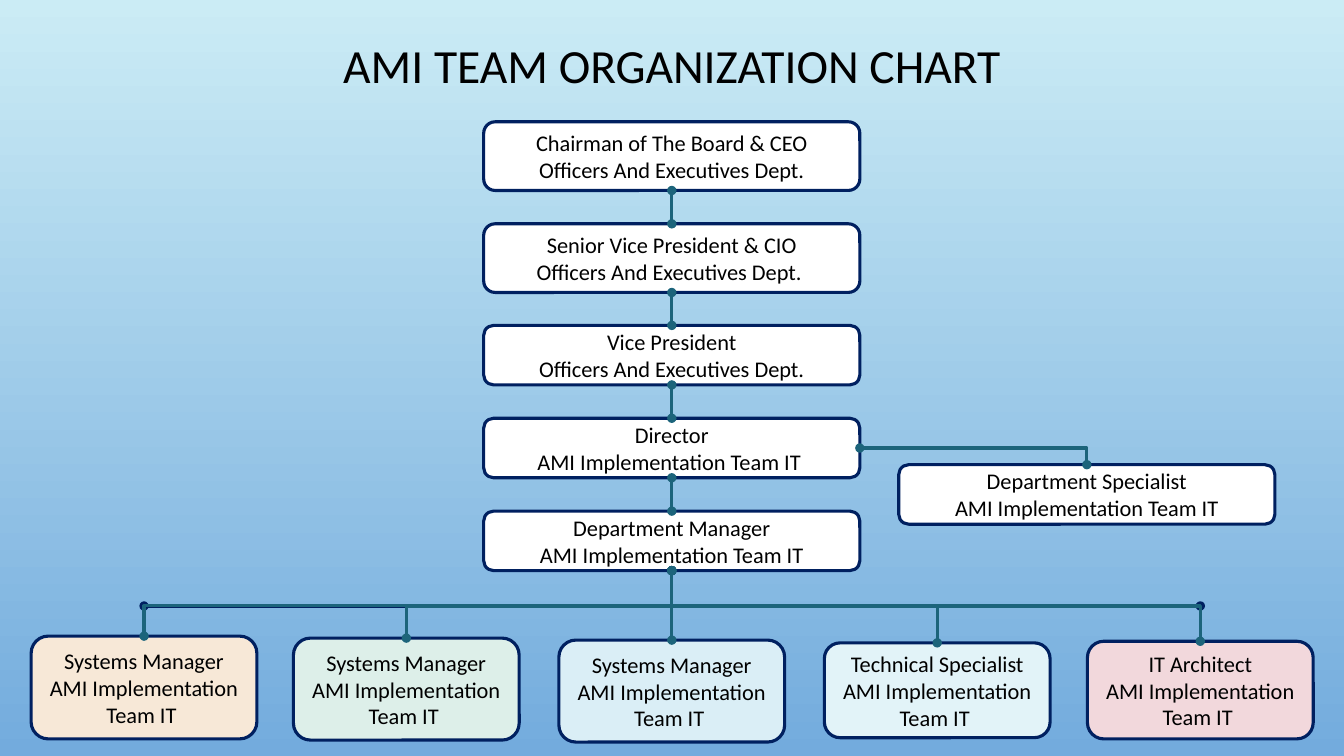
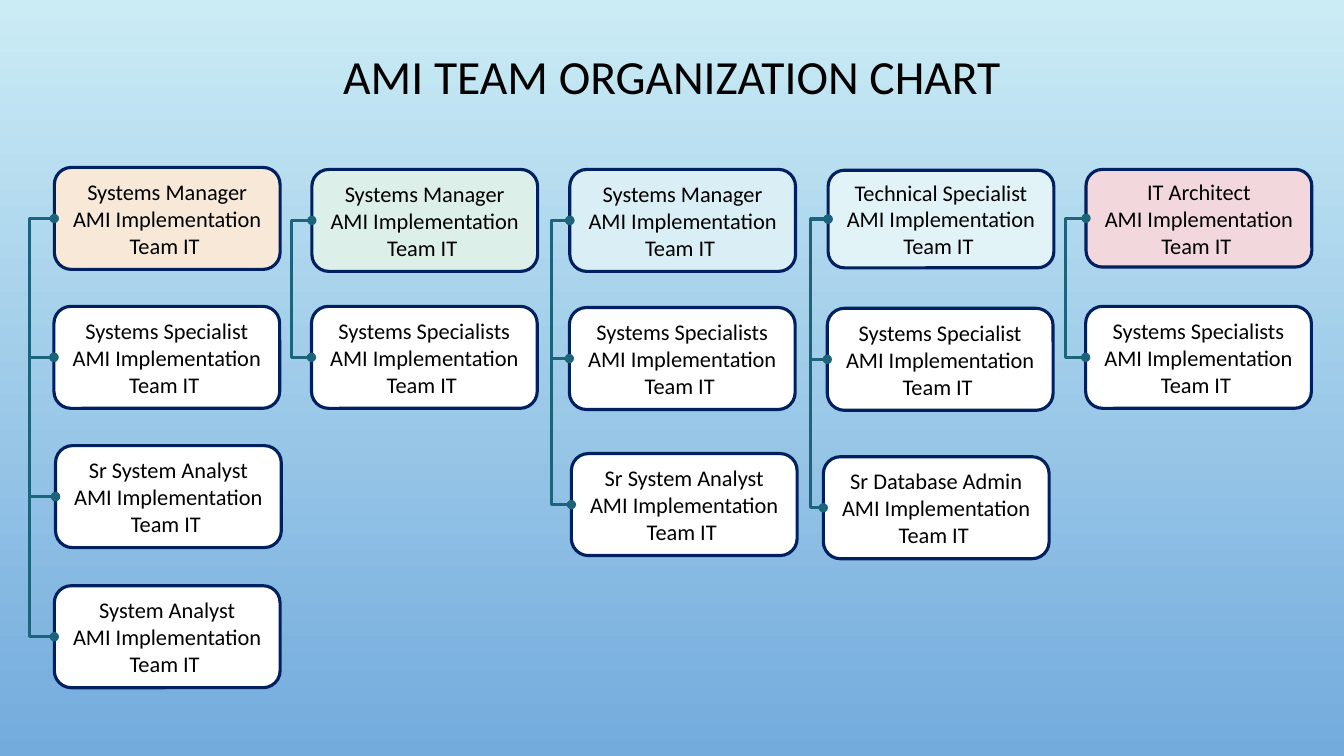
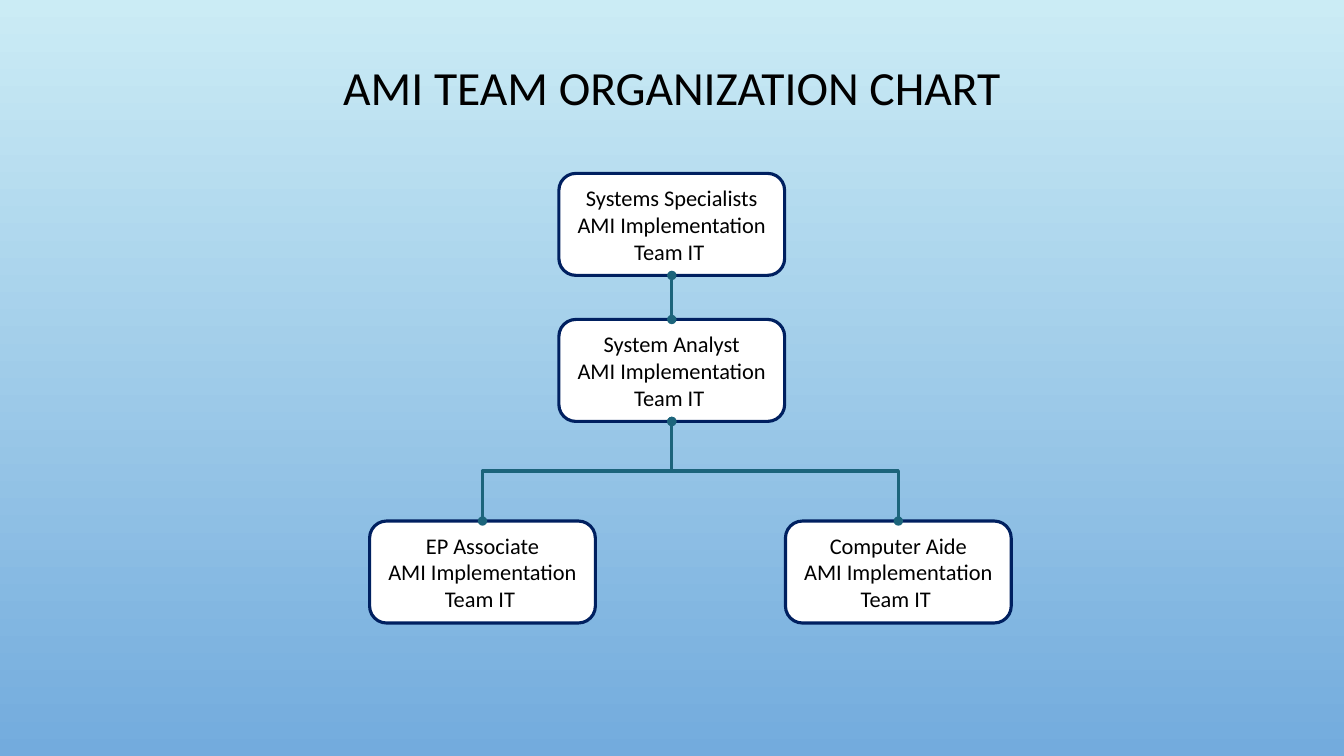
from itertools import pairwise

from pptx import Presentation
from pptx.dml.color import RGBColor
from pptx.enum.shapes import MSO_CONNECTOR, MSO_SHAPE
from pptx.enum.text import MSO_ANCHOR, PP_ALIGN
from pptx.oxml.ns import qn
from pptx.oxml.xmlchemy import OxmlElement
from pptx.util import Cm, Pt

COLORS = {
    "sky": "CBECF5", "blue": "73ABDD", "navy": "002060", "teal": "1C647B",
    "black": "000000", "white": "FFFFFF", "peach": "F7E8D7", "mint": "DDEFE9",
    "ice": "DAEEF6", "aqua": "E2F3F8", "rose": "F2D8DC",
}
FONT = "Calibri"
TITLE = "AMI TEAM ORGANIZATION CHART"
OFFICERS = "Officers And Executives Dept."
TEAM = "AMI Implementation Team IT"
TOP, LEFT, BOTTOM, RIGHT = range(4)

SLIDE_WIDTH, SLIDE_HEIGHT = 33.87, 19.05
CENTER = 16.93
WIDE, NARROW = 9.48, 5.69
LOW, TALL = 1.5, 2.57
STAFF_BUS = 15.27

CHAIN = [
    ("Chairman of The Board & CEO", OFFICERS, 3.07, 1.73),
    ("Senior Vice President & CIO", OFFICERS + " ", 5.64, 1.73),
    ("Vice President", OFFICERS, 8.2, LOW),
    ("Director", TEAM + " ", 10.54, LOW),
    ("Department Manager", TEAM, 12.88, LOW),
]
SPECIALIST = ("Department Specialist", TEAM, 27.39, 11.71)
STAFF = [
    ("Systems Manager", "peach", 3.63, 16.03, 2.59),
    ("Systems Manager", "mint", 10.24, 16.08, TALL),
    ("Systems Manager", "ice", CENTER, 16.13, TALL),
    ("Technical Specialist", "aqua", 23.62, 16.2, 2.39),
    ("IT Architect", "rose", 30.25, 16.16, 2.46),
]

COLUMNS = [
    {"bus": 0.74, "links": [(0, 1), (1, 2), (2, 3)], "boxes": [
        ("Systems Manager", "peach", 1.37, 4.22, TALL),
        ("Systems Specialist", "white", 1.36, 7.72, TALL),
        ("Sr System Analyst", "white", 1.4, 11.23, TALL),
        ("System Analyst", "white", 1.37, 14.76, TALL)]},
    {"bus": 7.34, "links": [(0, 1)], "boxes": [
        ("Systems Manager", "mint", 7.86, 4.27, TALL),
        ("Systems Specialists", "white", 7.85, 7.72, TALL)]},
    {"bus": 13.89, "links": [(0, 1), (0, 2)], "boxes": [
        ("Systems Manager", "ice", 14.36, 4.27, TALL),
        ("Systems Specialists", "white", 14.35, 7.75, TALL),
        ("Sr System Analyst", "white", 14.4, 11.43, TALL)]},
    {"bus": 20.43, "links": [(0, 1), (0, 2)], "boxes": [
        ("Technical Specialist", "aqua", 20.87, 4.29, 2.46),
        ("Systems Specialist", "white", 20.85, 7.77, TALL),
        ("Sr Database Admin", "white", 20.75, 11.51, TALL)]},
    {"bus": 26.85, "links": [(0, 1)], "boxes": [
        ("IT Architect", "rose", 27.37, 4.27, 2.46),
        ("Systems Specialists", "white", 27.36, 7.72, TALL)]},
]

SMALL_CHAIN = [("Systems Specialists", 4.37), ("System Analyst", 8.05)]
ASSISTANTS = [("EP Associate", 12.16), ("Computer Aide", 22.64)]
ASSISTANT_TOP, ASSISTANT_BUS = 13.13, 11.87


def rgb(name):
    return RGBColor.from_string(COLORS[name])


def write(frame, lines, size=16, color="black", spacing=None):
    frame.word_wrap = True
    frame.vertical_anchor = MSO_ANCHOR.MIDDLE
    for index, line in enumerate(lines):
        para = frame.add_paragraph() if index else frame.paragraphs[0]
        para.alignment = PP_ALIGN.CENTER
        if spacing:
            para.line_spacing = spacing
        span = para.add_run()
        span.text = line
        span.font.size = Pt(size)
        span.font.name = FONT
        span.font.color.rgb = rgb(color)


def add_page(deck, title_top, title_height):
    page = deck.slides.add_slide(deck.slide_layouts[5])
    title = page.shapes.title
    title.left, title.top = Cm(2.33), Cm(title_top)
    title.width, title.height = Cm(29.21), Cm(title_height)
    write(title.text_frame, [TITLE], size=34, spacing=0.9)
    return page


def add_box(page, lines, left, top, width=NARROW, height=TALL, fill="white"):
    box = page.shapes.add_shape(MSO_SHAPE.ROUNDED_RECTANGLE, Cm(left), Cm(top), Cm(width), Cm(height))
    box.shadow.inherit = False
    box.fill.solid()
    box.fill.fore_color.rgb = rgb(fill)
    box.line.color.rgb = rgb("navy")
    box.line.width = Pt(2.25)
    write(box.text_frame, lines)
    return box


def site(box, side):
    middle, center = box.left + box.width // 2, box.top + box.height // 2
    return {TOP: (middle, box.top), LEFT: (box.left, center),
            BOTTOM: (middle, box.top + box.height), RIGHT: (box.left + box.width, center)}[side]


def style_line(wire, color):
    wire.line.color.rgb = rgb(color)
    wire.line.width = Pt(2.25)
    properties = wire._element.spPr
    outline = properties.find(qn("a:ln"))
    for tag in ("a:headEnd", "a:tailEnd"):
        end = OxmlElement(tag)
        end.set("type", "oval")
        outline.append(end)
    properties.append(OxmlElement("a:effectLst"))


def turn_down(wire, begin, end):
    across, down = abs(end[0] - begin[0]), end[1] - begin[1]
    wire.left = (begin[0] + end[0] - down) // 2
    wire.top = (begin[1] + end[1] - across) // 2
    wire.width, wire.height = down, across
    frame = wire._element.spPr.find(qn("a:xfrm"))
    frame.attrib.pop("flipH", None)
    if end[0] < begin[0]:
        frame.set("rot", "5400000")
    else:
        frame.set("rot", "16200000")
        frame.set("flipH", "1")


def link(page, source, source_side, target, target_side=None, bus=None, color="teal"):
    begin = site(source, source_side)
    end = target if target_side is None else site(target, target_side)
    downward = source_side == BOTTOM
    straight = downward and abs(end[0] - begin[0]) < 100
    kind = MSO_CONNECTOR.STRAIGHT if straight else MSO_CONNECTOR.ELBOW
    wire = page.shapes.add_connector(kind, *begin, *end)
    wire.begin_connect(source, source_side)
    if target_side is not None:
        wire.end_connect(target, target_side)
    style_line(wire, color)
    if straight:
        return
    if downward:
        turn_down(wire, begin, end)
    geometry = wire._element.spPr.find(qn("a:prstGeom"))
    if bus is None:
        geometry.set("prst", "bentConnector2")
        return
    axis = 1 if downward else 0
    share = (Cm(bus) - begin[axis]) / (end[axis] - begin[axis])
    values = geometry.find(qn("a:avLst"))
    if values is None:
        values = OxmlElement("a:avLst")
        geometry.append(values)
    guide = OxmlElement("a:gd")
    guide.set("name", "adj1")
    guide.set("fmla", f"val {round(share * 100000)}")
    values.append(guide)


def link_chain(page, boxes):
    for upper, lower in pairwise(boxes):
        link(page, upper, BOTTOM, lower, TOP)


def build_leadership(deck):
    page = add_page(deck, 0.97, 1.49)
    chain = [add_box(page, [role, unit], CENTER - WIDE / 2, top, WIDE, height)
             for role, unit, top, height in CHAIN]
    link_chain(page, chain)
    director, manager = chain[-2:]
    staff = [add_box(page, [role, TEAM + " "], center - NARROW / 2, top, height=height, fill=fill)
             for role, fill, center, top, height in STAFF]
    for outer in (staff[0], staff[-1]):
        link(page, manager, BOTTOM, (site(outer, TOP)[0], Cm(STAFF_BUS)), color="navy")
    for member in staff:
        link(page, manager, BOTTOM, member, TOP, bus=STAFF_BUS)
    role, unit, center, top = SPECIALIST
    specialist = add_box(page, [role, unit], center - WIDE / 2, top, WIDE, LOW)
    link(page, director, RIGHT, specialist, TOP)


def build_teams(deck):
    page = add_page(deck, 1.07, 1.85)
    for column in COLUMNS:
        boxes = [add_box(page, [role, TEAM + " "], left, top, height=height, fill=fill)
                 for role, fill, left, top, height in column["boxes"]]
        for upper, lower in column["links"]:
            link(page, boxes[upper], LEFT, boxes[lower], LEFT, bus=column["bus"])


def build_assistants(deck):
    page = add_page(deck, 1.27, 1.98)
    chain = [add_box(page, [role, TEAM + " "], CENTER - NARROW / 2, top) for role, top in SMALL_CHAIN]
    link_chain(page, chain)
    for role, center in ASSISTANTS:
        assistant = add_box(page, [role, TEAM + " "], center - NARROW / 2, ASSISTANT_TOP)
        link(page, chain[-1], BOTTOM, assistant, TOP, bus=ASSISTANT_BUS)


def main():
    deck = Presentation()
    deck.slide_width, deck.slide_height = Cm(SLIDE_WIDTH), Cm(SLIDE_HEIGHT)
    backdrop = deck.slide_master.background.fill
    backdrop.gradient()
    backdrop.gradient_angle = 270
    for stop, name in zip(backdrop.gradient_stops, ("sky", "blue")):
        stop.color.rgb = rgb(name)
    build_leadership(deck)
    build_teams(deck)
    build_assistants(deck)
    deck.save("out.pptx")


if __name__ == "__main__":
    main()
